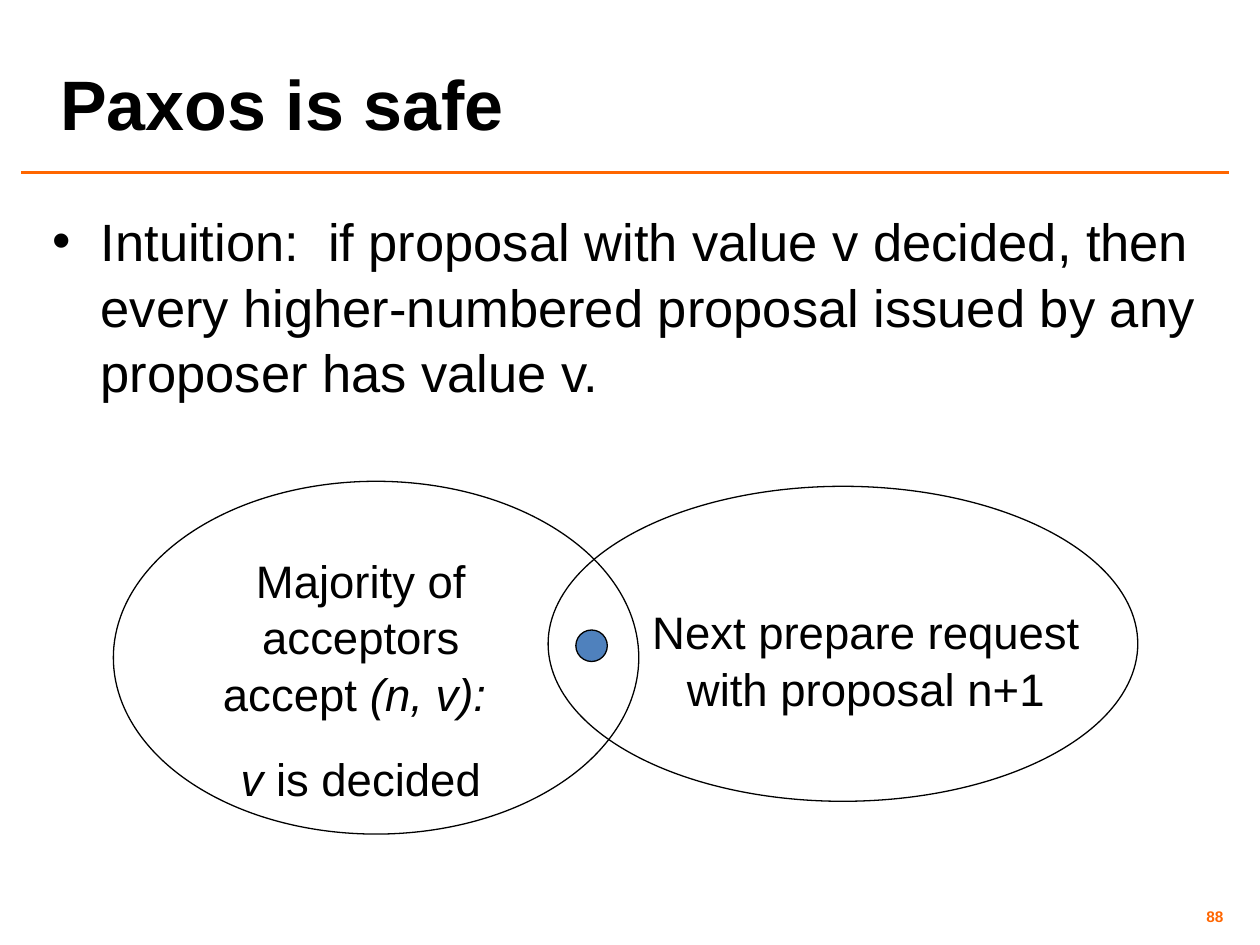
from lxml import etree
from pptx import Presentation
from pptx.dml.color import RGBColor
from pptx.enum import shapes, text
from pptx.oxml.ns import qn
from pptx.util import Inches, Pt

HUES = {"ink": "000000", "rule": "FF6600", "paper": "FFFFFF", "dot": "4F81BD"}
LEFT, CENTER, RIGHT = text.PP_ALIGN.LEFT, text.PP_ALIGN.CENTER, text.PP_ALIGN.RIGHT
TOP, MID, LOW = text.MSO_ANCHOR.TOP, text.MSO_ANCHOR.MIDDLE, text.MSO_ANCHOR.BOTTOM

# Content: each paragraph is a list of (words, italic) runs
TITLE = [[("Paxos is safe", False)]]
BODY = [[("Intuition:  if proposal with value v decided, then every "
          "higher-numbered proposal issued by any proposer has value v.", False)]]
NUMBER = [[("88", False)]]
ACCEPT = [[("Majority of acceptors accept ", False), ("(n, v): ", True)],
          [("v", True), (" is decided", False)]]
PREPARE = [[("Next prepare request with proposal n+1", False)]]

# Formats
WIDE, SLIM = (0.1, 0.05), (0.04, 0.04)
HEAD = dict(size=40, bold=True, anchor=LOW, gap=0.8)
LIST = dict(size=30, pad=SLIM, gap=1.04, bullet="•")
FOOT = dict(size=8.8, bold=True, anchor=MID, align=RIGHT, gap=0.8,
            pad=SLIM, hue="rule")
NOTE = dict(size=26, align=CENTER, gap=1.04)

# Ellipses and labels, back to front
PARTS = [
    ("text", (0.38, 1.6, 9.37, 5.46), BODY, LIST),
    ("text", (7.42, 7.17, 2.33, 0.23), NUMBER, FOOT),
    ("text", (0.38, 0.02, 9.37, 1.17), TITLE, HEAD),
    ("oval", (0.9, 3.82, 4.17, 2.8), "paper"),
    ("text", (1.45, 4.32, 2.83, 2.06), ACCEPT, NOTE),
    ("oval", (4.35, 3.86, 4.68, 2.5), None),
    ("text", (4.96, 4.73, 3.83, 0.97), PREPARE, NOTE),
    ("oval", (4.57, 5, 0.25, 0.25), "dot"),
]


def rgb(hue):
    return RGBColor.from_string(HUES[hue])


def add_bullet(para, mark):
    props = para._p.get_or_add_pPr()
    props.set("marL", str(Inches(0.38)))
    props.set("indent", str(-Inches(0.38)))
    etree.SubElement(props, qn("a:buFont")).set("typeface", "Arial")
    etree.SubElement(props, qn("a:buChar")).set("char", mark)


def add_text(slide, box, paras, size, bold=False, anchor=TOP, align=LEFT,
             gap=1.0, pad=WIDE, hue="ink", bullet=None):
    frame = slide.shapes.add_textbox(*map(Inches, box)).text_frame
    side, edge = map(Inches, pad)
    look = dict(word_wrap=True, vertical_anchor=anchor, margin_left=side,
                margin_right=side, margin_top=edge, margin_bottom=edge)
    for key, val in look.items():
        setattr(frame, key, val)
    for i, runs in enumerate(paras):
        para = frame.add_paragraph() if i else frame.paragraphs[0]
        para.alignment, para.line_spacing = align, gap
        if i:
            para.space_before = Pt(16.2)
        if bullet:
            add_bullet(para, bullet)
        for words, slant in runs:
            run = para.add_run()
            run.text = words
            face = dict(name="Arial", size=Pt(size), bold=bold, italic=slant)
            for key, val in face.items():
                setattr(run.font, key, val)
            run.font.color.rgb = rgb(hue)


def add_oval(slide, box, hue):
    oval = slide.shapes.add_shape(shapes.MSO_SHAPE.OVAL, *map(Inches, box))
    oval.shadow.inherit = False
    if hue:
        oval.fill.solid()
        oval.fill.fore_color.rgb = rgb(hue)
    else:
        oval.fill.background()
    oval.line.color.rgb = rgb("ink")
    oval.line.width = Pt(0.75)


def add_rule(slide, left, right, y):
    rule = slide.shapes.add_connector(
        shapes.MSO_CONNECTOR.STRAIGHT, *map(Inches, (left, y, right, y)))
    rule.line.color.rgb = rgb("rule")
    rule.line.width = Pt(2)
    etree.SubElement(rule._element.spPr, qn("a:effectLst"))


def main():
    deck = Presentation()
    deck.slide_width, deck.slide_height = Inches(10), Inches(7.5)
    slide = deck.slides.add_slide(deck.slide_layouts[6])
    add_rule(slide, 0.17, 9.75, 1.37)
    for kind, box, what, *form in PARTS:
        if kind == "text":
            add_text(slide, box, what, **form[0])
        else:
            add_oval(slide, box, what)
    deck.save("out.pptx")


if __name__ == "__main__":
    main()
